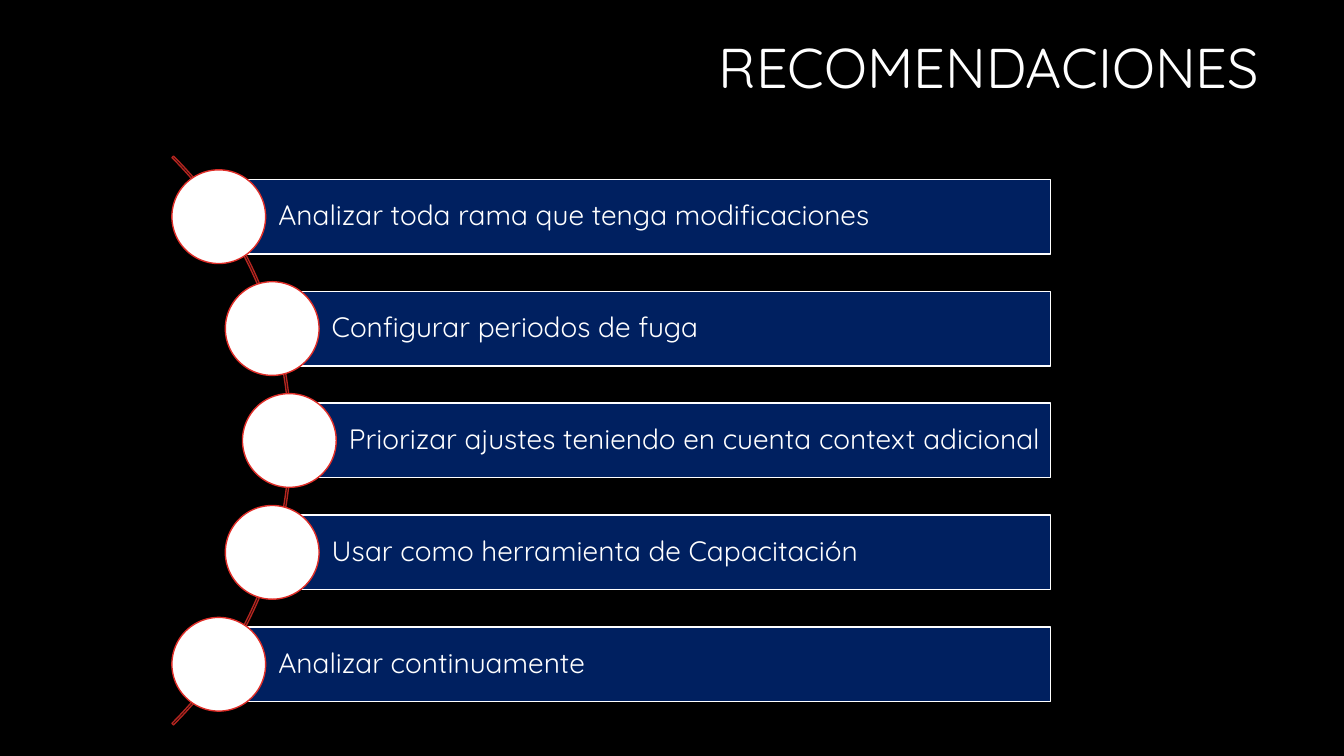
import pptx
import pptx.dml.color
import pptx.enum.shapes
import pptx.enum.text
import pptx.util

Inches, Pt = pptx.util.Inches, pptx.util.Pt
RGBColor = pptx.dml.color.RGBColor
Shape = pptx.enum.shapes.MSO_SHAPE
Align = pptx.enum.text.PP_ALIGN

TITLE = "RECOMENDACIONES"
# Text and left edge of each bar; the edge is also the centre of its circle.
RECOMMENDATIONS = [
    ("Analizar toda rama que tenga modificaciones", 2.17),
    ("Configurar periodos de fuga", 2.7),
    ("Priorizar ajustes teniendo en cuenta context adicional", 2.87),
    ("Usar como herramienta de Capacitación", 2.7),
    ("Analizar continuamente", 2.17),
]

FONT = "Quicksand"
BLACK = RGBColor(0x00, 0x00, 0x00)
WHITE = RGBColor(0xFF, 0xFF, 0xFF)
NAVY = RGBColor(0x00, 0x20, 0x60)
RED = RGBColor(0xDF, 0x2E, 0x28)
DARK_RED = RGBColor(0xB3, 0x25, 0x20)

MIDDLE = 4.37
PITCH = 1.11
BAR_RIGHT, BAR_HEIGHT = 10.42, 0.74
CIRCLE = 0.93
ARC_LEFT, ARC_SIZE = -5.09, 7.98


def write_text(shape, text, size, align=Align.LEFT, insets=(0.1, 0.05, 0.1, 0.05)):
    frame = shape.text_frame
    frame.word_wrap = True
    frame.auto_size = pptx.enum.text.MSO_AUTO_SIZE.NONE
    frame.vertical_anchor = pptx.enum.text.MSO_ANCHOR.MIDDLE
    (frame.margin_left, frame.margin_top,
     frame.margin_right, frame.margin_bottom) = map(Inches, insets)
    para = frame.paragraphs[0]
    para.alignment = align
    para.line_spacing = 0.9
    span = para.add_run()
    span.text = text
    span.font.name = FONT
    span.font.size = Pt(size)
    span.font.color.rgb = WHITE


def add_figure(page, kind, box, line, fill=None):
    shape = page.shapes.add_shape(kind, *map(Inches, box))
    shape.shadow.inherit = False
    if fill is None:
        shape.fill.background()
    else:
        shape.fill.solid()
        shape.fill.fore_color.rgb = fill
    shape.line.color.rgb = line
    shape.line.width = Pt(1)
    return shape


def main():
    deck = pptx.Presentation()
    deck.slide_width, deck.slide_height = Inches(13.33), Inches(7.5)
    page = deck.slides.add_slide(deck.slide_layouts.get_by_name("Title Only"))
    page.background.fill.solid()
    page.background.fill.fore_color.rgb = BLACK

    title = page.shapes.title
    title.left, title.top = Inches(3.17), Inches(-0.01)
    title.width, title.height = Inches(9.42), Inches(1.41)
    write_text(title, TITLE, 40, align=Align.RIGHT)

    arc_box = (ARC_LEFT, MIDDLE - ARC_SIZE / 2, ARC_SIZE, ARC_SIZE)
    arc = add_figure(page, Shape.BLOCK_ARC, arc_box, DARK_RED)
    for index, value in enumerate((189, 27, 0.0027)):
        arc.adjustments[index] = value

    first = MIDDLE - PITCH * (len(RECOMMENDATIONS) - 1) / 2
    for row, (text, left) in enumerate(RECOMMENDATIONS):
        center = first + row * PITCH
        bar_box = (left, center - BAR_HEIGHT / 2, BAR_RIGHT - left, BAR_HEIGHT)
        bar = add_figure(page, Shape.RECTANGLE, bar_box, WHITE, fill=NAVY)
        write_text(bar, text, 20, insets=(0.59, 0.06, 0.06, 0.06))
        circle_box = (left - CIRCLE / 2, center - CIRCLE / 2, CIRCLE, CIRCLE)
        add_figure(page, Shape.OVAL, circle_box, RED, fill=WHITE)

    deck.save("out.pptx")


if __name__ == "__main__":
    main()
